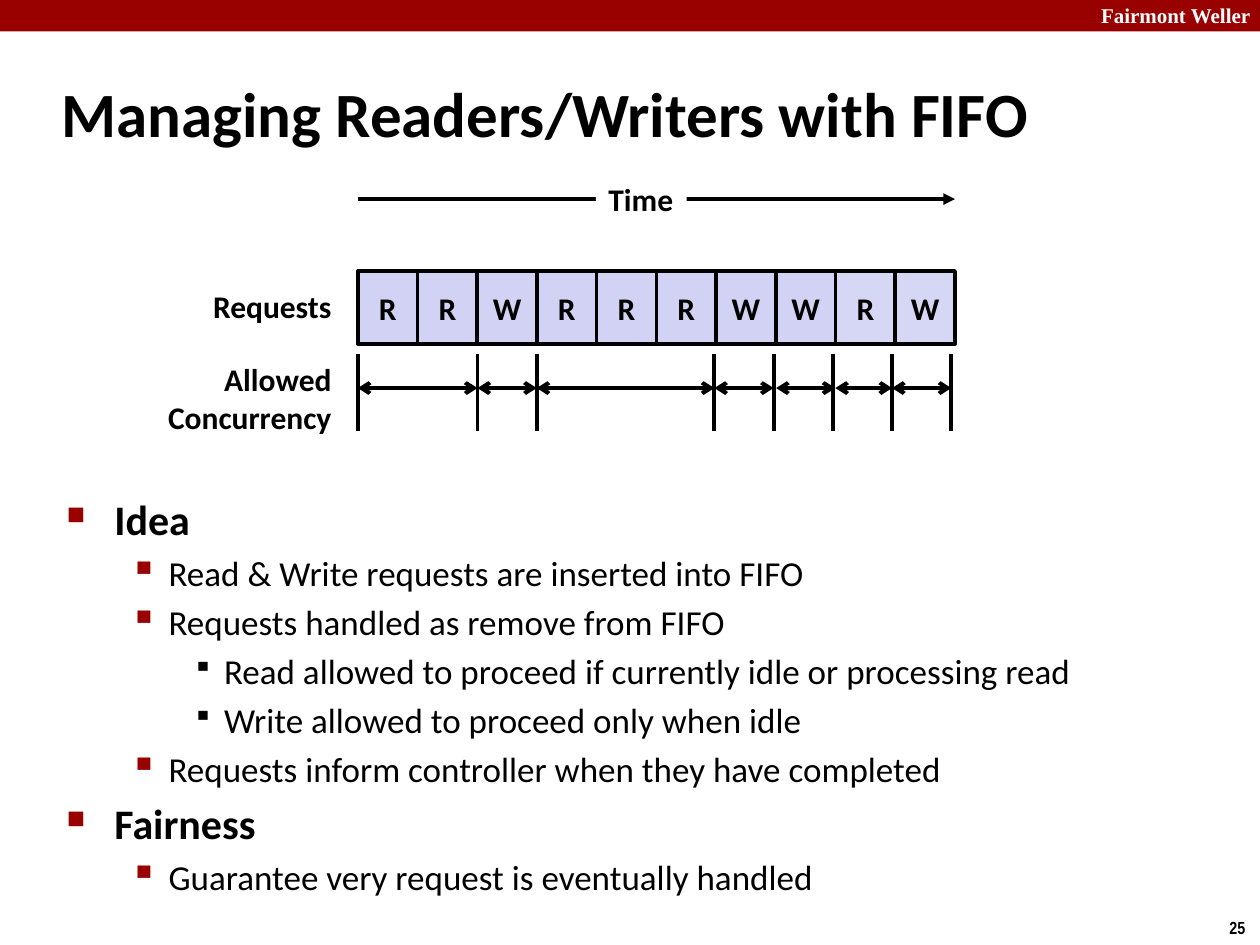
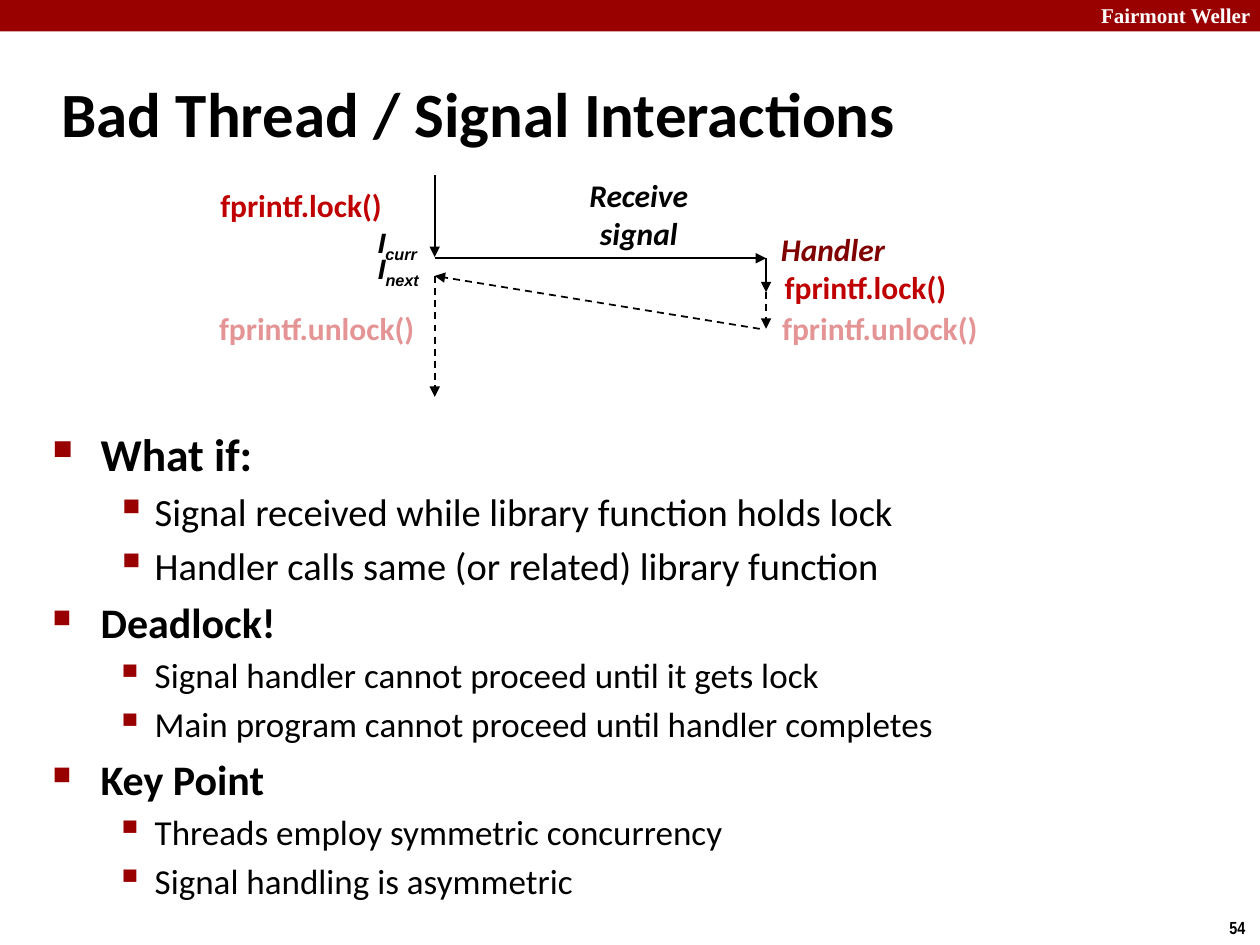
from dataclasses import dataclass

from lxml import etree
from pptx import Presentation, util as u
from pptx.dml.color import RGBColor
from pptx.enum import dml, shapes, text
from pptx.oxml import ns


@dataclass(frozen=True)
class Theme:
    black: str = "000000"
    white: str = "FFFFFF"
    band: str = "990000"
    pending: str = "D2D2F4"
    latest: str = "D6D6F5"
    lock: str = "C00000"
    unreached: str = "E49494"
    handler: str = "800000"
    body_font: str = "Calibri"
    code_font: str = "Arial"
    number_font: str = "Arial Narrow"
    band_font: str = "Times New Roman"
    title_size: int = 36
    large_size: int = 26
    heading_size: int = 24
    large_item_size: int = 22
    item_size: int = 20
    label_size: int = 18
    code_size: int = 16
    band_size: int = 12
    number_size: int = 10
    thick: float = 2.25
    cell_line: float = 2
    thin: float = 1


THEME = Theme()
SCHOOL = "Fairmont Weller"

FIFO = {
    "title": "Managing Readers/Writers with FIFO",
    "number": "25",
    "body_area": (0.43, 3.87, 8.64, 3.06),
    "body": [
        (0, "Idea"),
        (1, "Read & Write requests are inserted into FIFO"),
        (1, "Requests handled as remove from FIFO"),
        (2, "Read allowed to proceed if currently idle or processing read"),
        (2, "Write allowed to proceed only when idle"),
        (1, "Requests inform controller when they have completed"),
        (0, "Fairness"),
        (1, "Guarantee very request is eventually handled"),
    ],
}
REQUESTS = "RRWRRRWWRW"
LATEST_COUNT = 2
QUEUE_LEFT, QUEUE_TOP, QUEUE_WIDTH, QUEUE_HEIGHT = 2.84, 2.15, 4.74, 0.58
TIME_Y = 1.58
TICKS = [2.84, 3.79, 4.26, 5.67, 6.14, 6.61, 7.08, 7.55]
TICK_TOP, TICK_BOTTOM, SPAN_Y = 2.81, 3.42, 3.08
SPANS = [(2.84, 3.79), (3.79, 4.26), (4.26, 5.67), (5.67, 6.14),
         (6.16, 6.63), (6.63, 7.08), (7.08, 7.55)]
ROW_LABELS = [
    ((1.58, 2.23, 1.15, 0.4), ["Requests"]),
    ((1.22, 2.81, 1.51, 0.71), ["Allowed", "Concurrency"]),
]

SIGNALS = {
    "title": "Bad Thread / Signal Interactions",
    "number": "54",
    "body_area": (0.32, 3.33, 9.43, 3.44),
    "body": [
        (0, "What if:", THEME.large_size),
        (1, "Signal received while library function holds lock", THEME.large_item_size),
        (1, "Handler calls same (or related) library function", THEME.large_item_size),
        (0, "Deadlock!"),
        (1, "Signal handler cannot proceed until it gets lock"),
        (1, "Main program cannot proceed until handler completes"),
        (0, "Key Point"),
        (1, "Threads employ symmetric concurrency"),
        (1, "Signal handling is asymmetric"),
    ],
}
MAIN_X, HANDLER_X = 3.45, 6.08
CONTROL_FLOW = [
    ((MAIN_X, 1.39), (MAIN_X, 2.04), False),
    ((MAIN_X, 2.05), (HANDLER_X, 2.05), False),
    ((HANDLER_X, 2.05), (HANDLER_X, 2.32), False),
    ((6.03, 2.61), (MAIN_X, 2.19), True),
    ((MAIN_X, 2.19), (MAIN_X, 3.15), True),
    ((HANDLER_X, 2.32), (HANDLER_X, 2.61), True),
]
INSTRUCTIONS = [((2.9, 1.74, 0.6, 0.37), "curr"), ((2.9, 1.95, 0.61, 0.37), "next")]
LOCK_CALLS = [
    ((1.65, 1.43, 1.54, 0.4), "fprintf.lock()", THEME.lock),
    ((1.64, 2.4, 1.77, 0.4), "fprintf.unlock()", THEME.unreached),
    ((6.13, 2.08, 1.54, 0.4), "fprintf.lock()", THEME.lock),
    ((6.11, 2.4, 1.77, 0.4), "fprintf.unlock()", THEME.unreached),
]

BULLETS = [
    {"margin": 0.38, "hang": 0.38, "char": "■", "percent": 60, "color": THEME.band},
    {"margin": 0.81, "hang": 0.31, "char": "▪", "percent": 110, "color": THEME.band},
    {"margin": 1.25, "hang": 0.25, "char": "▪", "percent": 80, "color": THEME.black},
]


def inches(values):
    return [u.Inches(value) for value in values]


def add_xml(parent, tag, **attributes):
    return etree.SubElement(parent, ns.qn(tag), attributes)


def style(span, size=THEME.label_size, color=THEME.black, font=THEME.body_font,
          bold=True, italic=False):
    span.font.size = u.Pt(size)
    span.font.name = font
    span.font.bold = bold
    span.font.italic = italic
    span.font.color.rgb = RGBColor.from_string(color)


def write(box, lines, align=text.PP_ALIGN.LEFT, **look):
    box.text_frame.text = "\n".join(lines)
    for para in box.text_frame.paragraphs:
        para.alignment = align
        for span in para.runs:
            style(span, **look)


def add_text(page, area, lines, wrap=False, **look):
    box = page.shapes.add_textbox(*inches(area))
    box.text_frame.word_wrap = wrap
    write(box, lines, **look)
    return box


def add_rect(page, area, fill, outline=None):
    box = page.shapes.add_shape(shapes.MSO_SHAPE.RECTANGLE, *inches(area))
    box.shadow.inherit = False
    box.fill.solid()
    box.fill.fore_color.rgb = RGBColor.from_string(fill)
    if outline:
        box.line.color.rgb = RGBColor.from_string(THEME.black)
        box.line.width = u.Pt(outline)
    else:
        box.line.fill.background()
    return box


def add_line(page, start, end, width=THEME.thick, head=None, tail=None, dashed=False):
    line = page.shapes.add_connector(shapes.MSO_CONNECTOR.STRAIGHT, *inches(start + end))
    line.line.color.rgb = RGBColor.from_string(THEME.black)
    line.line.width = u.Pt(width)
    if dashed:
        line.line.dash_style = dml.MSO_LINE.DASH
    properties = line._element.spPr
    outline = properties.find(ns.qn("a:ln"))
    for tag, kind in (("a:headEnd", head), ("a:tailEnd", tail)):
        if kind:
            add_xml(outline, tag, type=kind)
    add_xml(properties, "a:effectLst")


def add_bullet(para, level):
    bullet = BULLETS[level]
    para.level = level
    properties = para._p.get_or_add_pPr()
    properties.set("marL", str(u.Inches(bullet["margin"])))
    properties.set("indent", str(-u.Inches(bullet["hang"])))
    add_xml(add_xml(properties, "a:spcBef"), "a:spcPct", val="20000")
    add_xml(add_xml(properties, "a:buClr"), "a:srgbClr", val=bullet["color"])
    add_xml(properties, "a:buSzPct", val=str(bullet["percent"] * 1000))
    add_xml(properties, "a:buChar", char=bullet["char"])


def add_body(page, area, items):
    box = add_text(page, area, [item[1] for item in items], wrap=True)
    for para, (level, _, *custom) in zip(box.text_frame.paragraphs, items):
        heading = level == 0
        default = THEME.heading_size if heading else THEME.item_size
        style(para.runs[0], size=custom[0] if custom else default, bold=heading)
        add_bullet(para, level)


def add_page(deck, content):
    page = deck.slides.add_slide(deck.slide_layouts[6])
    add_rect(page, (0, 0, 10, 0.25), THEME.band)
    add_text(page, (8.64, -0.03, 1.43, 0.3), [SCHOOL], wrap=True,
             size=THEME.band_size, color=THEME.white, font=THEME.band_font)
    add_text(page, (9.66, 7.23, 0.34, 0.27), [content["number"]],
             size=THEME.number_size, font=THEME.number_font)
    title = add_text(page, (0.39, 0.48, 8.3, 0.83), [content["title"]],
                     wrap=True, size=THEME.title_size)
    title.text_frame.vertical_anchor = text.MSO_ANCHOR.MIDDLE
    add_body(page, content["body_area"], content["body"])
    return page


def draw_queue(page):
    cell_width = QUEUE_WIDTH / len(REQUESTS)
    first_latest = len(REQUESTS) - LATEST_COUNT
    for index, request in enumerate(REQUESTS):
        fill = THEME.latest if index >= first_latest else THEME.pending
        area = (QUEUE_LEFT + index * cell_width, QUEUE_TOP, cell_width, QUEUE_HEIGHT)
        cell = add_rect(page, area, fill, THEME.cell_line)
        frame = cell.text_frame
        frame.word_wrap = False
        frame.margin_top = frame.margin_bottom = 0
        frame.vertical_anchor = text.MSO_ANCHOR.MIDDLE
        write(cell, [request], align=text.PP_ALIGN.CENTER)


def draw_fifo(page):
    draw_queue(page)
    add_line(page, (QUEUE_LEFT, TIME_Y), (QUEUE_LEFT + QUEUE_WIDTH, TIME_Y), tail="triangle")
    time = add_rect(page, (4.73, 1.38, 0.72, 0.4), THEME.white)
    time.text_frame.word_wrap = False
    write(time, ["Time"])
    for area, lines in ROW_LABELS:
        add_text(page, area, lines, align=text.PP_ALIGN.RIGHT)
    for tick in TICKS:
        add_line(page, (tick, TICK_TOP), (tick, TICK_BOTTOM))
    for left, right in SPANS:
        add_line(page, (left, SPAN_Y), (right, SPAN_Y), head="arrow", tail="arrow")


def draw_signals(page):
    for start, end, dashed in CONTROL_FLOW:
        add_line(page, start, end, THEME.thin, tail="triangle", dashed=dashed)
    for area, subscript in INSTRUCTIONS:
        look = {"size": THEME.code_size, "font": THEME.code_font, "italic": True}
        box = add_text(page, area, ["I"], **look)
        span = box.text_frame.paragraphs[0].add_run()
        span.text = subscript
        style(span, **look)
        span._r.get_or_add_rPr().set("baseline", "-25000")
    add_text(page, (6.1, 1.78, 1.04, 0.4), ["Handler"], color=THEME.handler, italic=True)
    add_text(page, (4.54, 1.35, 1.06, 0.71), ["Receive", "signal"],
             align=text.PP_ALIGN.CENTER, italic=True)
    for area, call, color in LOCK_CALLS:
        add_text(page, area, [call], color=color)


def main():
    deck = Presentation()
    deck.slide_width, deck.slide_height = inches((10, 7.5))
    for content, draw in ((FIFO, draw_fifo), (SIGNALS, draw_signals)):
        draw(add_page(deck, content))
    deck.save("out.pptx")


if __name__ == "__main__":
    main()
